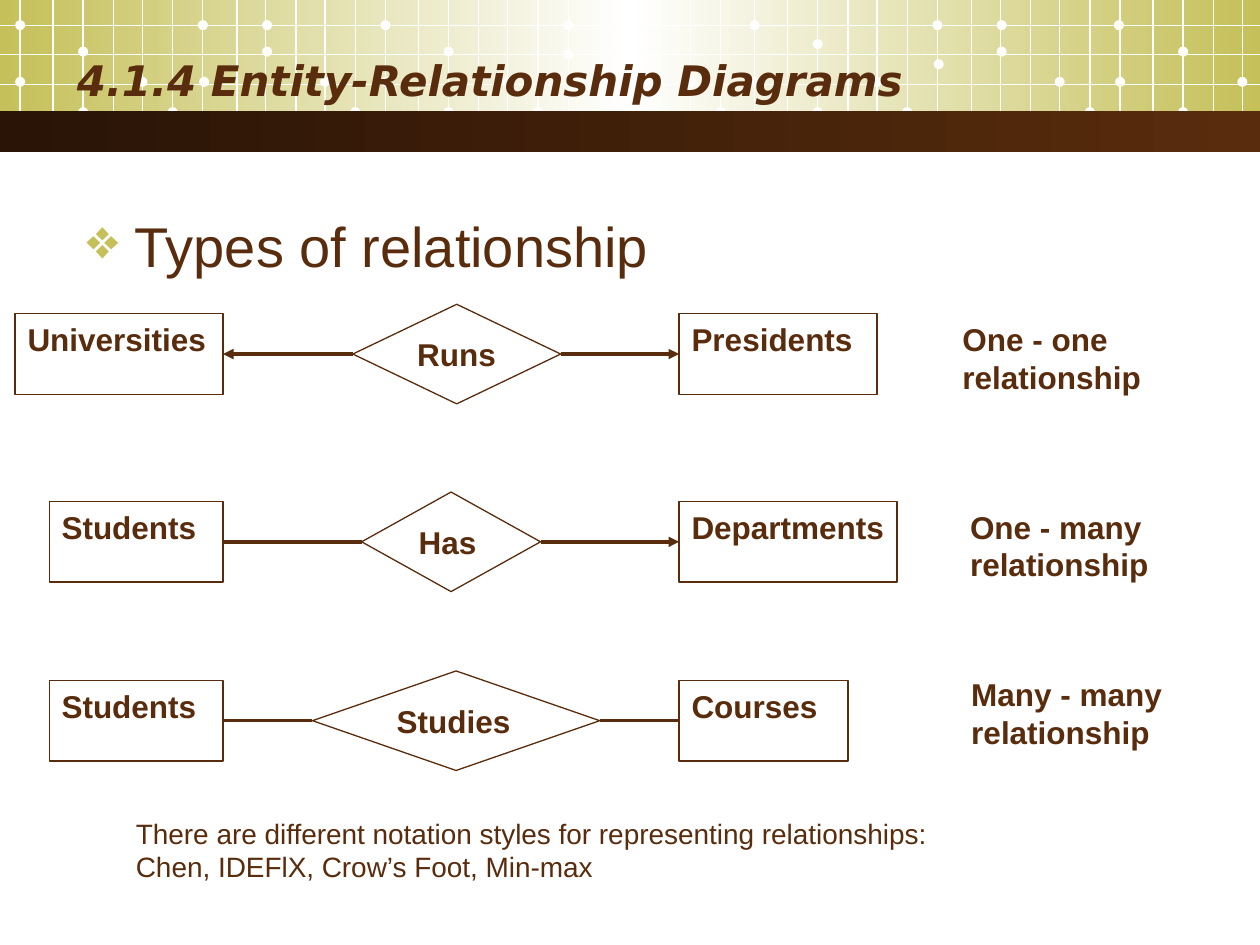
from lxml.etree import SubElement
from pptx import Presentation
from pptx.dml.color import RGBColor
from pptx.enum.shapes import MSO_CONNECTOR, MSO_SHAPE
from pptx.enum.text import MSO_ANCHOR, PP_ALIGN
from pptx.oxml.ns import qn
from pptx.util import Inches, Pt

COLORS = {"brown": "592C0D", "dark": "291406", "olive": "C5C059", "white": "FFFFFF"}
FORMATS = {
    "title": {"name": "DejaVu Sans", "size": Pt(24), "bold": True, "italic": True},
    "heading": {"name": "Arial", "size": Pt(32), "bold": False},
    "label": {"name": "Arial", "size": Pt(18), "bold": True},
    "note": {"name": "Arial", "size": Pt(16), "bold": False},
}

# Grid of the header: four repeats of one uneven column pattern
GRID_ORIGINS = [0.16, 3.06, 5.99, 8.89]
GRID_OFFSETS = [0, 0.26, 0.5, 0.74, 0.97, 1.21, 1.45, 1.72, 1.95, 2.19, 2.42, 2.66]
GRID_ROWS = [0.2, 0.43, 0.67, 0.89]
DOT_SIZE = 0.08
DOTS = {  # top of the dots: their left edges
    0.16: [0.12, 1.57, 2.08, 3.02, 4.47, 4.97, 5.95, 7.4, 7.91, 8.84],
    0.31: [6.45],
    0.37: [0.62, 2.08, 3.52, 4.97, 7.91, 9.35],
    0.39: [4.47],
    0.47: [7.41],
    0.61: [0.12, 1.09, 1.58, 2.54, 3.02, 3.99, 5.44, 5.95, 6.92, 8.37, 8.85, 9.82],
    0.85: [0.62, 1.33, 2.78, 3.52, 4.23, 5.68, 6.45, 7.16, 8.61, 9.35],
}

# Relationship rows
LEFT_ENTITY_END, RIGHT_ENTITY_START = 1.77, 5.39
ENTITY_HEIGHT, DIAMOND_HEIGHT = 0.64, 0.79
RELATIONSHIPS = [
    {"middle": 2.81, "left": ("Universities", 1.65), "verb": ("Runs", 2.8, 1.65),
     "right": ("Presidents", 1.57), "arrows": (True, True),
     "kind": (["One - one relationship"], 7.54, 2.49, 2.29)},
    {"middle": 4.3, "left": ("Students", 1.38), "verb": ("Has", 2.87, 1.42),
     "right": ("Departments", 1.73), "arrows": (False, True),
     "kind": (["One - many relationship"], 7.6, 3.98, 2.01)},
    {"middle": 5.72, "left": ("Students", 1.38), "verb": ("Studies", 2.48, 2.28),
     "right": ("Courses", 1.34), "arrows": (False, False),
     "kind": (["Many - many", "relationship"], 7.61, 5.31, 1.78)},
]


def rgb(color):
    return RGBColor.from_string(COLORS[color])


def write(frame, lines, style, anchor=MSO_ANCHOR.TOP):
    frame.word_wrap = True
    frame.vertical_anchor = anchor
    for index, line in enumerate(lines):
        paragraph = frame.paragraphs[0] if index == 0 else frame.add_paragraph()
        paragraph.alignment = PP_ALIGN.LEFT
        run = paragraph.add_run()
        run.text = line
        for key, value in FORMATS[style].items():
            setattr(run.font, key, value)
        run.font.color.rgb = rgb("brown")


def add_text(slide, box, lines, style):
    frame = slide.shapes.add_textbox(*map(Inches, box)).text_frame
    write(frame, lines, style)
    return frame


def add_plain_shape(shapes, preset, box, fill=None, line=None):
    shape = shapes.add_shape(preset, *map(Inches, box))
    shape.shadow.inherit = False
    if fill:
        shape.fill.solid()
        shape.fill.fore_color.rgb = rgb(fill)
    else:
        shape.fill.background()
    if line:
        shape.line.color.rgb = rgb(line)
        shape.line.width = Pt(0.75)
    else:
        shape.line.fill.background()
    return shape


def add_line(shapes, start, end, color, width, arrow=False):
    line = shapes.add_connector(MSO_CONNECTOR.STRAIGHT, *map(Inches, (*start, *end)))
    line.line.color.rgb = rgb(color)
    line.line.width = Pt(width)
    if arrow:
        SubElement(line.line._get_or_add_ln(), qn("a:tailEnd"), type="triangle")
    SubElement(line.element.spPr, qn("a:effectLst"))


def add_gradient_band(slide, box, colors):
    band = add_plain_shape(slide.shapes, MSO_SHAPE.RECTANGLE, box)
    band.fill.gradient()
    band.fill.gradient_angle = 0
    stops = band.element.spPr.find(qn("a:gradFill")).find(qn("a:gsLst"))
    for stop in list(stops):
        stops.remove(stop)
    for index, color in enumerate(colors):
        position = 100000 * index // (len(colors) - 1)
        stop = SubElement(stops, qn("a:gs"), pos=str(position))
        SubElement(stop, qn("a:srgbClr"), val=COLORS[color])


def add_header(slide, box):
    left, top, width, height = box
    add_gradient_band(slide, (left, top, width, 1.02), ["olive", "white", "olive"])
    grid = slide.shapes.add_group_shape().shapes
    for dot_top, dot_lefts in DOTS.items():
        for dot_left in dot_lefts:
            dot = (left + dot_left, top + dot_top, DOT_SIZE, DOT_SIZE)
            add_plain_shape(grid, MSO_SHAPE.OVAL, dot, fill="white")
    columns = [origin + offset for origin in GRID_ORIGINS for offset in GRID_OFFSETS]
    for x in (left + column for column in columns if column < width):
        add_line(grid, (x, top), (x, top + 1.1), "white", 0.75)
    for y in (top + row for row in GRID_ROWS):
        add_line(grid, (left, y), (left + width, y), "white", 0.75)
    add_gradient_band(slide, (left, top + height - 0.33, width, 0.33), ["dark", "brown"])


def add_title(slide, box, text):
    title = slide.shapes.title
    title.left, title.top, title.width, title.height = map(Inches, box)
    write(title.text_frame, [text], "title", MSO_ANCHOR.MIDDLE)
    slide.shapes.element.append(title.element)  # in front of the header


def add_heading(slide, box, text):
    paragraph = add_text(slide, box, [text], "heading").paragraphs[0]
    properties = paragraph._p.get_or_add_pPr()
    indent = Inches(0.38)
    properties.set("marL", str(indent))
    properties.set("indent", str(-indent))
    bullet_color = SubElement(properties, qn("a:buClr"))
    SubElement(bullet_color, qn("a:srgbClr"), val=COLORS["olive"])
    SubElement(properties, qn("a:buChar"), char="❖")


def add_relationship(slide, middle, left, verb, right, arrows, kind):
    left_name, left_width = left
    verb_name, verb_left, verb_width = verb
    right_name, right_width = right
    # Entities and the diamond between them
    parts = [
        (MSO_SHAPE.DIAMOND, verb_name, verb_left, verb_width, DIAMOND_HEIGHT),
        (MSO_SHAPE.RECTANGLE, left_name, LEFT_ENTITY_END - left_width, left_width,
         ENTITY_HEIGHT),
        (MSO_SHAPE.RECTANGLE, right_name, RIGHT_ENTITY_START, right_width, ENTITY_HEIGHT),
    ]
    for preset, name, x, width, height in parts:
        box = (x, middle - height / 2, width, height)
        shape = add_plain_shape(slide.shapes, preset, box, line="brown")
        write(shape.text_frame, [name], "label")
    # Links from the diamond to each entity
    links = [(verb_left, LEFT_ENTITY_END), (verb_left + verb_width, RIGHT_ENTITY_START)]
    for (start, end), arrow in zip(links, arrows):
        add_line(slide.shapes, (start, middle), (end, middle), "brown", 2, arrow)
    # Kind of relationship
    lines, x, y, width = kind
    add_text(slide, (x, y, width, 0.7), lines, "label")


def main():
    presentation = Presentation()
    presentation.slide_width, presentation.slide_height = Inches(10), Inches(7.5)
    slide = presentation.slides.add_slide(presentation.slide_layouts[5])
    add_header(slide, (0, 0, 10, 1.21))
    add_title(slide, (0.51, 0.42, 8.17, 0.42), "4.1.4 Entity-Relationship Diagrams")
    add_heading(slide, (0.59, 1.63, 8.5, 0.58), "Types of relationship")
    for relationship in RELATIONSHIPS:
        add_relationship(slide, **relationship)
    note = ("There are different notation styles for representing relationships: "
            "Chen, IDEFlX, Crow’s Foot, Min-max")
    add_text(slide, (0.98, 6.43, 7.09, 0.64), [note], "note")
    presentation.save("out.pptx")


if __name__ == "__main__":
    main()
